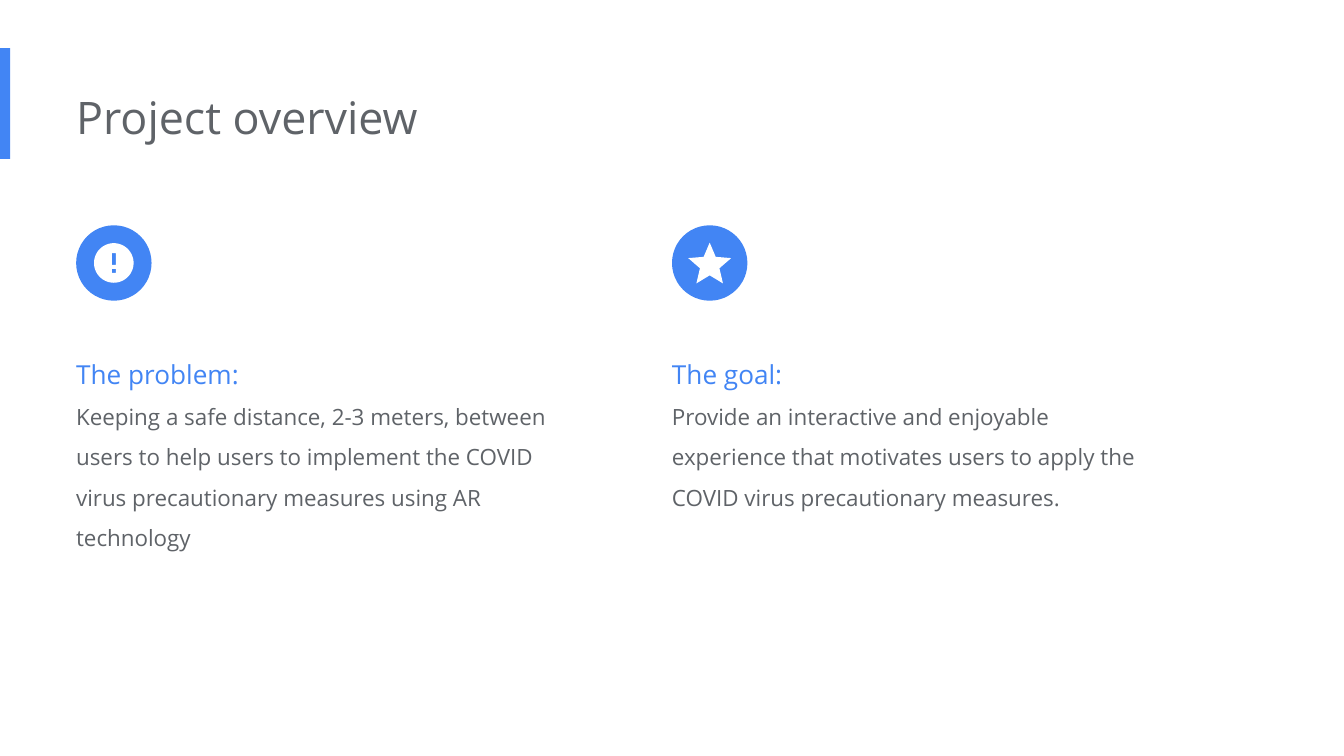
from math import cos, pi, sin

from pptx import Presentation
from pptx.dml.color import RGBColor
from pptx.enum.shapes import MSO_SHAPE
from pptx.enum.text import MSO_ANCHOR, MSO_AUTO_SIZE, PP_ALIGN
from pptx.util import Pt

FONT = "Open Sans"
BLUE, GREY, WHITE = "4285F4", "5F6368", "FFFFFF"
LEFT_COLUMN, RIGHT_COLUMN = 40.8, 360
COLUMN_TOP, COLUMN_WIDTH = 120.7, 271.4
ICON_SIZE, TEXT_OFFSET = 40.4, 55.7

STAR = [(0, 5.77), (6.18, 9.5), (4.54, 2.47), (10, -2.26), (2.81, -2.87),
        (0, -9.5), (-2.81, -2.87), (-10, -2.26), (-4.54, 2.47), (-6.18, 9.5)]
DISC = [(10 * cos(step * pi / 36), 10 * sin(step * pi / 36)) for step in range(72)]
BAR = [(-1, -5), (-1, 1), (1, 1), (1, -5)]
DOT = [(-1, 3), (-1, 5), (1, 5), (1, 3)]


def color(value):
    """Turn a hex string into a colour."""
    return RGBColor.from_string(value)


def paint(shape, fill):
    """Give a shape a plain fill without line or shadow."""
    shape.shadow.inherit = False
    shape.fill.solid()
    shape.fill.fore_color.rgb = color(fill)
    shape.line.fill.background()


def add_preset(page, kind, left, top, width, height, fill):
    """Add a plain preset shape."""
    shape = page.shapes.add_shape(kind, Pt(left), Pt(top), Pt(width), Pt(height))
    paint(shape, fill)


def prepare_frame(box):
    """Set the margins, wrapping and anchor of a text box and return its frame."""
    frame = box.text_frame
    frame.word_wrap = True
    frame.auto_size = MSO_AUTO_SIZE.SHAPE_TO_FIT_TEXT
    frame.vertical_anchor = MSO_ANCHOR.TOP
    frame.margin_left = 0
    frame.margin_top = frame.margin_right = frame.margin_bottom = Pt(7.2)
    return frame


def write(para, text, size=12, fill=GREY, spacing=1.0):
    """Write one formatted span into a paragraph."""
    para.alignment = PP_ALIGN.LEFT
    para.line_spacing = spacing
    para.space_before = para.space_after = Pt(0)
    span = para.add_run()
    span.text = text
    span.font.name = FONT
    span.font.size = Pt(size)
    span.font.color.rgb = color(fill)


def add_symbol(page, outlines, center_x, center_y, unit):
    """Draw white outlines, given in grid units, around a centre."""
    contours = [[(Pt(center_x + x * unit), Pt(center_y + y * unit)) for x, y in outline]
                for outline in outlines]
    builder = page.shapes.build_freeform(*contours[0][0])
    builder.add_line_segments(contours[0][1:], close=True)
    for contour in contours[1:]:
        builder.move_to(*contour[0])
        builder.add_line_segments(contour[1:], close=True)
    paint(builder.convert_to_shape(), WHITE)


def add_header(page, text, left, top, width, height):
    """Place the accent bar and the title."""
    add_preset(page, MSO_SHAPE.RECTANGLE, 0, 25.8, 5.4, 59.4, BLUE)
    title = page.shapes.title
    title.left, title.top, title.width, title.height = Pt(left), Pt(top), Pt(width), Pt(height)
    write(prepare_frame(title).paragraphs[0], text, size=24)


def add_column(page, left, top, width, height, heading, body, outlines, unit):
    """Place an icon with a heading and body text below it."""
    add_preset(page, MSO_SHAPE.OVAL, left, top, ICON_SIZE, ICON_SIZE, BLUE)
    add_symbol(page, outlines, left + ICON_SIZE / 2, top + ICON_SIZE / 2, unit)
    box = page.shapes.add_textbox(Pt(left), Pt(top + TEXT_OFFSET), Pt(width),
                                  Pt(height - TEXT_OFFSET))
    frame = prepare_frame(box)
    write(frame.paragraphs[0], heading, size=14, fill=BLUE, spacing=1.5)
    write(frame.add_paragraph(), body, spacing=1.5)


def main():
    """Build and save the deck."""
    deck = Presentation()
    deck.slide_width, deck.slide_height = Pt(720), Pt(405)
    page = deck.slides.add_slide(deck.slide_layouts[5])
    add_header(page, "Project overview", LEFT_COLUMN, 41, 484.6, 44)
    add_column(page, LEFT_COLUMN, COLUMN_TOP, COLUMN_WIDTH, 183.1, "The problem:",
               "Keeping a safe distance, 2-3 meters, between users to help users to "
               "implement the COVID virus precautionary measures using AR technology",
               [DISC, BAR, DOT], 1.06)
    add_column(page, RIGHT_COLUMN, COLUMN_TOP, COLUMN_WIDTH, 160.8, "The goal:",
               "Provide an interactive and enjoyable experience that motivates users "
               "to apply the COVID virus precautionary measures.",
               [STAR], 1.15)
    deck.save("out.pptx")


if __name__ == "__main__":
    main()
